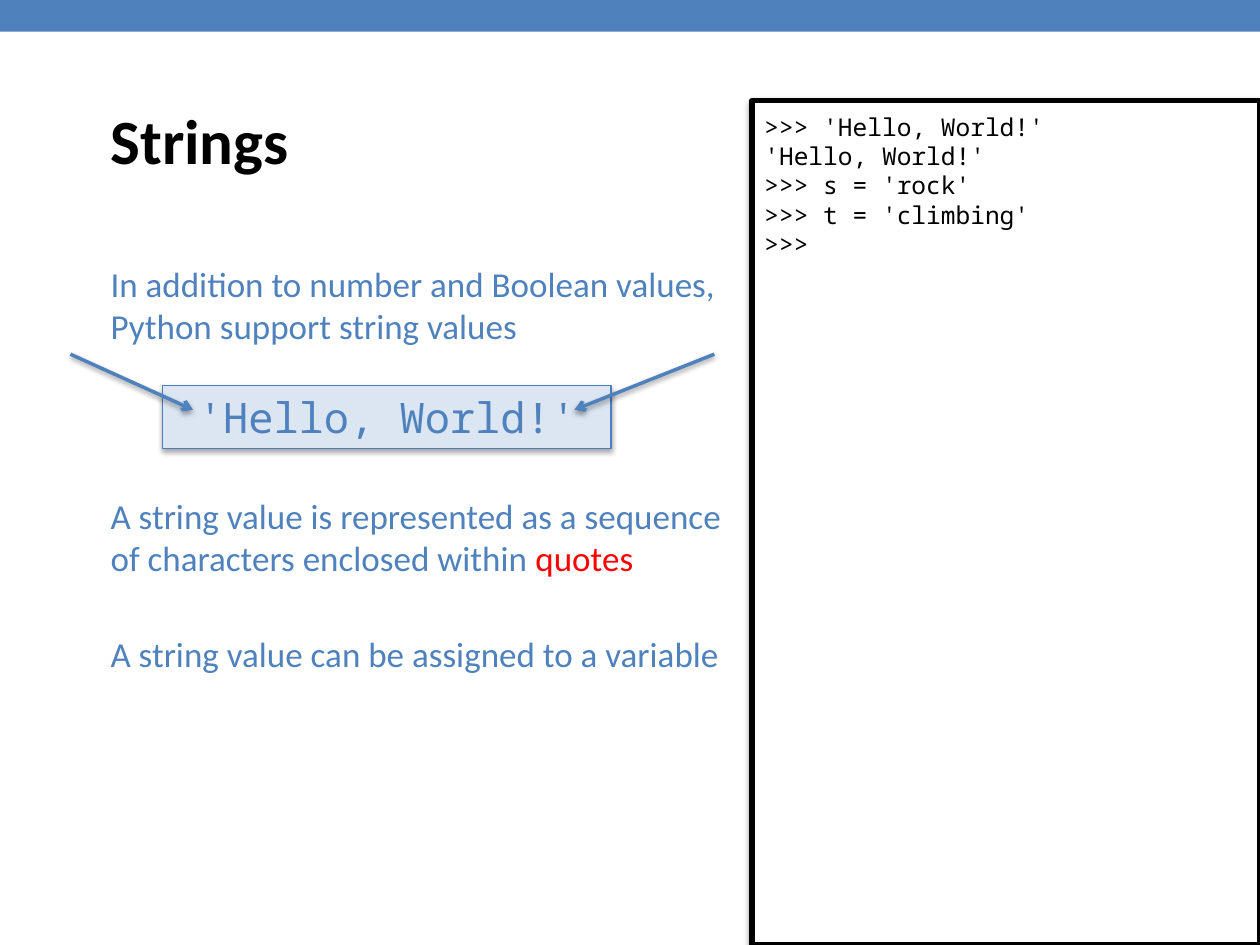
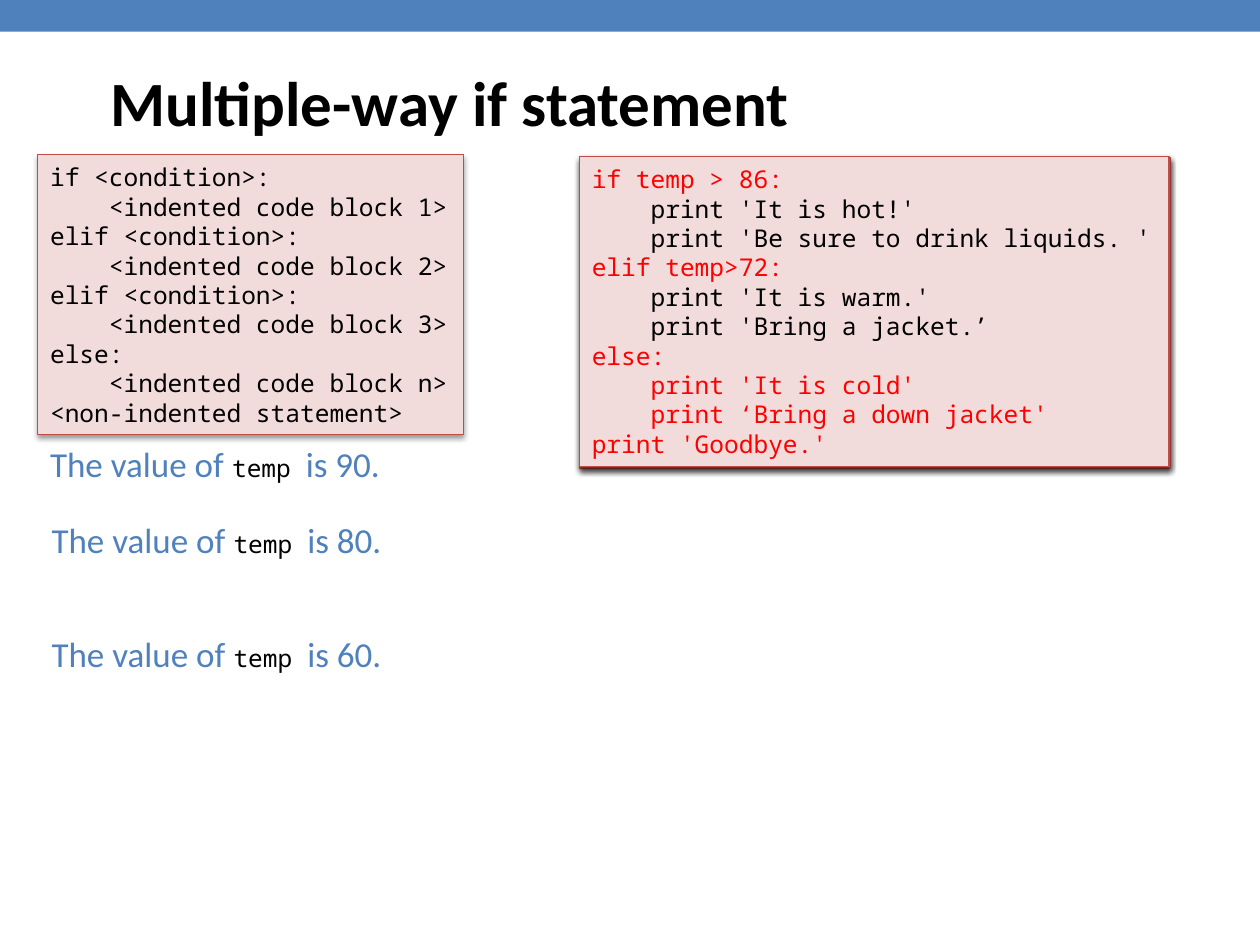
from collections import namedtuple

from lxml import etree
from pptx import Presentation
from pptx.dml.color import RGBColor
from pptx.enum.shapes import MSO_CONNECTOR, MSO_SHAPE
from pptx.enum.text import MSO_ANCHOR, PP_ALIGN
from pptx.oxml import parse_xml
from pptx.oxml.ns import nsdecls, qn
from pptx.util import Cm, Pt

RECTANGLE = MSO_SHAPE.RECTANGLE
STRAIGHT = MSO_CONNECTOR.STRAIGHT
TOP, MIDDLE = MSO_ANCHOR.TOP, MSO_ANCHOR.MIDDLE
LEFT, CENTER = PP_ALIGN.LEFT, PP_ALIGN.CENTER

# Shared colours
BLUE = RGBColor(0x4F, 0x81, 0xBD)
BLUE_EDGE = RGBColor(0x4B, 0x7E, 0xBC)
PALE_BLUE = RGBColor(0xDC, 0xE6, 0xF2)
PALE_RED = RGBColor(0xF2, 0xDC, 0xDB)
RED_EDGE = RGBColor(0xBF, 0x4C, 0x48)
RED = RGBColor(0xFF, 0x00, 0x00)
BLACK = RGBColor(0x00, 0x00, 0x00)
WHITE = RGBColor(0xFF, 0xFF, 0xFF)

# Shared text styles
Style = namedtuple("Style", "font size color bold", defaults=(False,))
TITLE = Style("Calibri", 36, BLACK, True)
BODY = Style("Calibri", 20, BLUE)
KEYWORD = Style("Calibri", 20, RED)
CODE = Style("Noto Sans Mono", 14, BLACK)
CODE_RED = Style("Noto Sans Mono", 14, RED)
SAMPLE = Style("Noto Sans Mono", 24, BLUE)

SLIDE_WIDTH, SLIDE_HEIGHT = 25.4, 19.05
TEXT_LEFT = 1.98

SESSION = [
    ">>> 'Hello, World!'",
    "'Hello, World!'",
    ">>> s = 'rock'",
    ">>> t = 'climbing'",
    ">>>",
]

IF_SYNTAX = [
    "if <condition>:",
    "    <indented code block 1>",
    "elif <condition>:",
    "    <indented code block 2>",
    "elif <condition>:",
    "    <indented code block 3>",
    "else:",
    "    <indented code block n>",
    "<non-indented statement>",
]

# Lines that run when temp is 60 are red
TEMPERATURE_CODE = [
    ("if temp > 86:", CODE_RED),
    ("    print 'It is hot!'", CODE),
    ("    print 'Be sure to drink liquids. '", CODE),
    ("elif temp>72:", CODE_RED),
    ("    print 'It is warm.'", CODE),
    ("    print 'Bring a jacket.’", CODE),
    ("else:", CODE_RED),
    ("    print 'It is cold'", CODE_RED),
    ("    print ‘Bring a down jacket'", CODE_RED),
    ("print 'Goodbye.'", CODE_RED),
]


def lines_of(texts, style):
    return [[(text, style)] for text in texts]


def write(frame, lines, anchor=MIDDLE, align=LEFT):
    """Fill a text frame; each line is a list of (text, style) runs."""
    frame.word_wrap = True
    frame.vertical_anchor = anchor
    for number, line in enumerate(lines):
        paragraph = frame.add_paragraph() if number else frame.paragraphs[0]
        paragraph.alignment = align
        for text, style in line:
            run = paragraph.add_run()
            run.text = text
            run.font.name = style.font
            run.font.size = Pt(style.size)
            run.font.bold = style.bold
            run.font.color.rgb = style.color


def add_text(slide, left, top, width, height, runs):
    box = slide.shapes.add_textbox(Cm(left), Cm(top), Cm(width), Cm(height))
    write(box.text_frame, [runs])


def cast_shadow(shape, opacity=38, distance=1.57):
    """Add a soft shadow below a shape whose line is already set."""
    shape._element.spPr.append(parse_xml(
        f'<a:effectLst {nsdecls("a")}>'
        f'<a:outerShdw blurRad="{Pt(3.15)}" dist="{Pt(distance)}" dir="5400000" rotWithShape="0">'
        f'<a:srgbClr val="000000"><a:alpha val="{opacity * 1000}"/></a:srgbClr>'
        '</a:outerShdw></a:effectLst>'))


def add_card(slide, left, top, width, height, fill, edge, edge_width=0.75, **shadow):
    card = slide.shapes.add_shape(RECTANGLE, Cm(left), Cm(top), Cm(width), Cm(height))
    card.fill.solid()
    card.fill.fore_color.rgb = fill
    card.line.color.rgb = edge
    card.line.width = Pt(edge_width)
    cast_shadow(card, **shadow)
    return card


def add_arrow(slide, start, end):
    arrow = slide.shapes.add_connector(STRAIGHT, *map(Cm, start + end))
    arrow.line.color.rgb = BLUE
    arrow.line.width = Pt(2)
    line = arrow._element.spPr.find(qn("a:ln"))
    etree.SubElement(line, qn("a:tailEnd"), type="arrow")
    cast_shadow(arrow)


def add_titled_slide(deck, title, title_top):
    slide = deck.slides.add_slide(deck.slide_layouts[6])
    band = slide.shapes.add_shape(RECTANGLE, 0, 0, Cm(SLIDE_WIDTH), Cm(0.64))
    band.shadow.inherit = False
    band.fill.solid()
    band.fill.fore_color.rgb = BLUE
    band.line.fill.background()
    add_text(slide, TEXT_LEFT, title_top, 21.59, 4.09, [(title, TITLE)])
    return slide


def build_strings(deck):
    slide = add_titled_slide(deck, "Strings", 0.76)

    # Explanation
    add_text(slide, TEXT_LEFT, 5.16, 14.66, 1.96, [
        ("In addition to number and Boolean values, Python support string values", BODY)])
    add_text(slide, TEXT_LEFT, 9.83, 13.21, 1.96, [
        ("A string value is represented as a sequence of characters enclosed within ", BODY),
        ("quotes", KEYWORD)])
    add_text(slide, TEXT_LEFT, 12.62, 13.21, 1.12, [
        ("A string value can be assigned to a variable", BODY)])

    # Sample string with arrows at its quotes
    sample = add_card(slide, 3.28, 7.77, 9.04, 1.27, PALE_BLUE, BLUE_EDGE,
                      opacity=35, distance=1.8)
    write(sample.text_frame, [[("'Hello, World!'", SAMPLE)]], align=CENTER)
    add_arrow(slide, (14.4, 7.14), (11.58, 8.26))
    add_arrow(slide, (1.42, 7.14), (3.89, 8.26))

    # Interpreter session
    shell = add_card(slide, 15.16, 2.03, 10.24, SLIDE_HEIGHT - 2.03, WHITE, BLACK, 3)
    shell.text_frame.margin_top = Cm(0.22)
    write(shell.text_frame, lines_of(SESSION, CODE), anchor=TOP)


def build_multiway_if(deck):
    slide = add_titled_slide(deck, "Multiple-way if statement", 0)

    # General syntax
    syntax = add_card(slide, 0.76, 3.12, 8.59, 5.64, PALE_RED, RED_EDGE)
    write(syntax.text_frame, lines_of(IF_SYNTAX, CODE))

    # Values tried
    for temperature, left, top in ((90, 0.76, 8.79), (80, 0.79, 10.31), (60, 0.79, 12.62)):
        add_text(slide, left, top, 7.44, 1.12, [
            ("The value of ", BODY), ("temp ", CODE), (f"is {temperature}.", BODY)])

    # Stack of cards, with the code on the front one
    for left, top in ((11.68, 3.2), (11.71, 3.18), (11.68, 3.15)):
        example = add_card(slide, left, top, 11.89, 6.25, PALE_RED, RED_EDGE)
    write(example.text_frame, [[line] for line in TEMPERATURE_CODE])


def main():
    deck = Presentation()
    deck.slide_width, deck.slide_height = Cm(SLIDE_WIDTH), Cm(SLIDE_HEIGHT)
    build_strings(deck)
    build_multiway_if(deck)
    deck.save("out.pptx")


if __name__ == "__main__":
    main()
